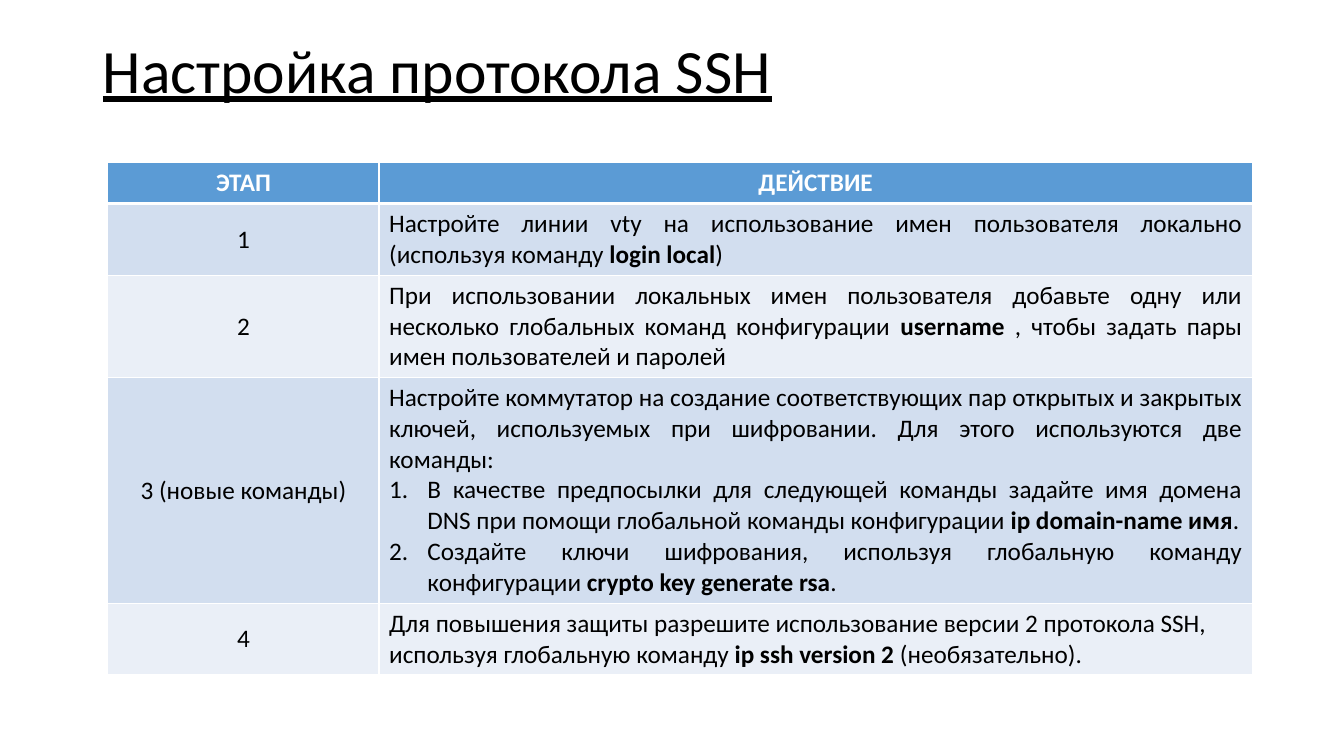
from lxml.etree import SubElement
from pptx import Presentation
from pptx.dml.color import RGBColor
from pptx.enum.text import MSO_ANCHOR as Anchor, PP_ALIGN as Align
from pptx.oxml.ns import qn
from pptx.util import Inches, Pt

TITLE = "Настройка протокола SSH"
HEADERS = ("ЭТАП", "ДЕЙСТВИЕ")
BOLD = "**"
NUMBERED = "# "
STEPS = [
    ("1", [
        "Настройте линии vty на использование имен пользователя локально "
        "(используя команду **login local**)",
    ]),
    ("2", [
        "При использовании локальных имен пользователя добавьте одну или несколько "
        "глобальных команд конфигурации **username** , чтобы задать пары имен "
        "пользователей и паролей",
    ]),
    ("3 (новые команды)", [
        "Настройте коммутатор на создание соответствующих пар открытых и закрытых "
        "ключей, используемых при шифровании. Для этого используются две команды:",
        "# В качестве предпосылки для следующей команды задайте имя домена DNS при "
        "помощи глобальной команды конфигурации **ip domain-name имя**.",
        "# Создайте ключи шифрования, используя глобальную команду конфигурации "
        "**crypto key generate rsa**.",
    ]),
    ("4", [
        "Для повышения защиты разрешите использование версии 2 протокола SSH,",
        "используя глобальную команду **ip ssh version 2 **(необязательно).",
    ]),
]
COLUMN_WIDTHS = (2.69, 8.66)
ROW_HEIGHTS = (0.41, 0.7, 1.01, 2.24, 0.7)
COLORS = {
    "text": "000000",
    "white": "FFFFFF",
    "header": "5B9BD5",
    "odd": "D2DEEF",
    "even": "EAEFF7",
}


def number_paragraph(para):
    properties = para._p.get_or_add_pPr()
    properties.set("marL", str(Inches(0.38)))
    properties.set("indent", str(-Inches(0.38)))
    SubElement(properties, qn("a:buFont"), typeface="+mj-lt")
    SubElement(properties, qn("a:buAutoNum"), type="arabicPeriod")


def write(frame, lines, size=18, color="text", bold=False, underline=False,
          align=Align.LEFT, spacing=None):
    for index, line in enumerate(lines):
        para = frame.paragraphs[0] if index == 0 else frame.add_paragraph()
        if line.startswith(NUMBERED):
            number_paragraph(para)
            line = line.removeprefix(NUMBERED)
        para.alignment = align
        if spacing:
            para.line_spacing = spacing
        for part, text in enumerate(line.split(BOLD)):
            if not text:
                continue
            span = para.add_run()
            span.text = text
            font = span.font
            font.name = "Calibri"
            font.size = Pt(size)
            font.bold = bold or part % 2 == 1
            font.underline = underline
            font.color.rgb = RGBColor.from_string(COLORS[color])


def style_cell(cell, fill, top=1, bottom=1):
    properties = cell._tc.get_or_add_tcPr()
    for side, width in (("L", 1), ("R", 1), ("T", top), ("B", bottom)):
        line = SubElement(properties, qn(f"a:ln{side}"), w=str(Pt(width)))
        solid = SubElement(line, qn("a:solidFill"))
        SubElement(solid, qn("a:srgbClr"), val=COLORS["white"])
    cell.fill.solid()
    cell.fill.fore_color.rgb = RGBColor.from_string(COLORS[fill])


def add_title(page):
    title = page.shapes.title
    title.left, title.top = Inches(0.92), Inches(0)
    title.width, title.height = Inches(11.5), Inches(1.45)
    title.text_frame.vertical_anchor = Anchor.MIDDLE
    write(title.text_frame, [TITLE], size=44, underline=True, spacing=0.9)


def add_steps(page):
    table = page.shapes.add_table(
        len(ROW_HEIGHTS), len(COLUMN_WIDTHS), Inches(1.07), Inches(1.61),
        Inches(sum(COLUMN_WIDTHS)), Inches(sum(ROW_HEIGHTS))).table
    for column, width in zip(table.columns, COLUMN_WIDTHS):
        column.width = Inches(width)
    for row, height in zip(table.rows, ROW_HEIGHTS):
        row.height = Inches(height)

    for column, header in enumerate(HEADERS):
        cell = table.cell(0, column)
        style_cell(cell, "header", bottom=3)
        write(cell.text_frame, [header], color="white", bold=True, align=Align.CENTER)

    for row, (stage, action) in enumerate(STEPS, start=1):
        stage_cell, action_cell = table.cell(row, 0), table.cell(row, 1)
        for cell in (stage_cell, action_cell):
            style_cell(cell, "odd" if row % 2 else "even", top=3 if row == 1 else 1)
        stage_cell.vertical_anchor = Anchor.MIDDLE
        write(stage_cell.text_frame, [stage], align=Align.CENTER)
        write(action_cell.text_frame, action, align=Align.JUSTIFY)


def main():
    deck = Presentation()
    deck.slide_width, deck.slide_height = Inches(13.33), Inches(7.5)
    page = deck.slides.add_slide(deck.slide_layouts[5])
    add_title(page)
    add_steps(page)
    deck.save("out.pptx")


if __name__ == "__main__":
    main()
